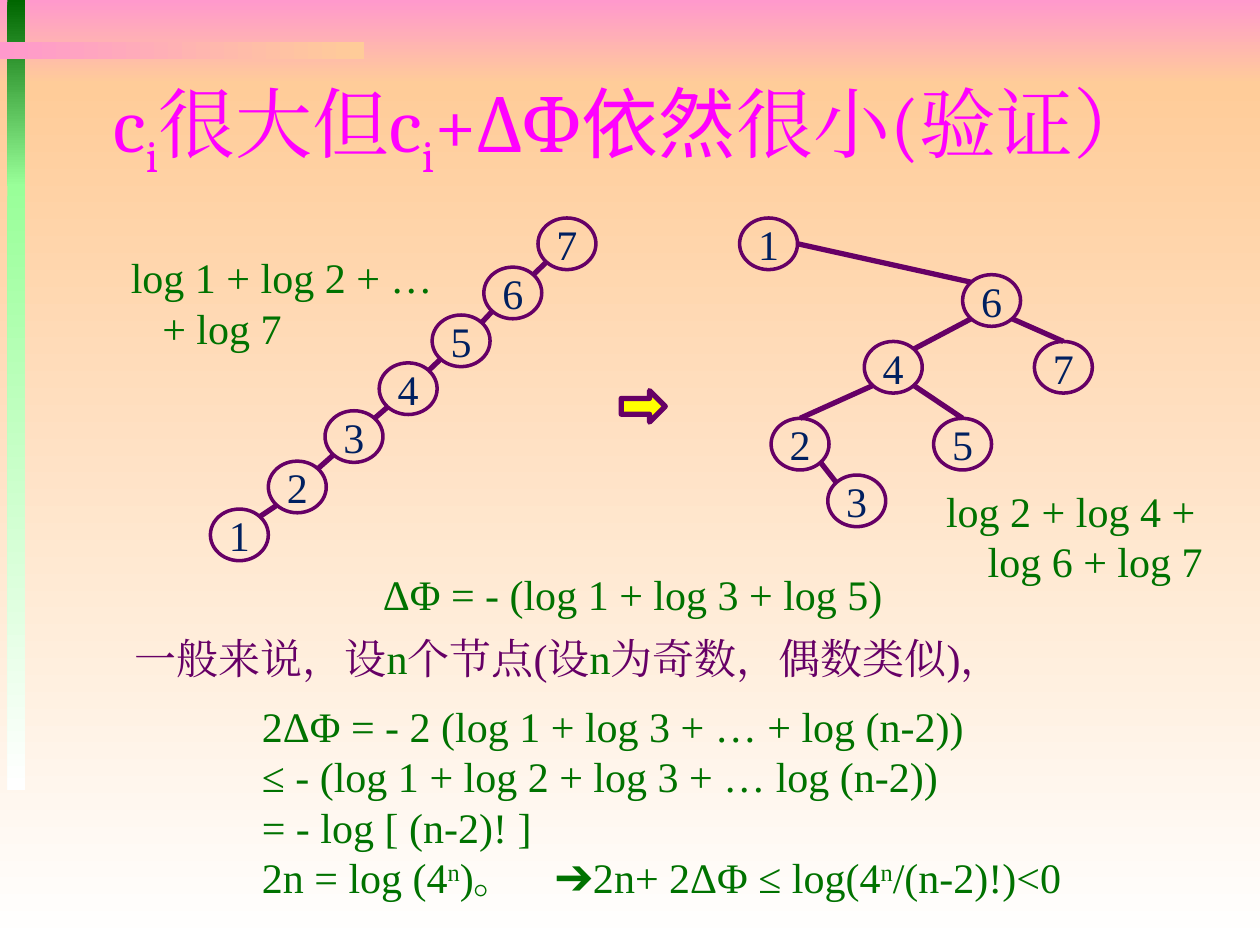
from pptx import Presentation
from pptx.dml.color import RGBColor
from pptx.enum.shapes import MSO_CONNECTOR as LINE, MSO_SHAPE as SHAPE
from pptx.enum.text import MSO_ANCHOR as ANCHOR, MSO_AUTO_SIZE as AUTOSIZE, PP_ALIGN as ALIGN
from pptx.oxml.ns import qn
from pptx.util import Inches, Pt
from lxml import etree

PURPLE, GREEN, NAVY, MAGENTA = "660066", "007200", "002060", "FF00FF"
PINK, PEACH, LIME, WHITE = "FF99CC", "FFCC99", "99FF99", "FFFFFF"
NODE_W, NODE_H = 0.46, 0.41
NEAR, FAR = 0.146, 0.854  # diagonal points of an ellipse, as shares of its box
SITES = {"top": (0.5, 0), "right": (1, 0.5), "top left": (NEAR, NEAR), "top right": (FAR, NEAR),
         "bottom left": (NEAR, FAR), "bottom right": (FAR, FAR)}


def rgb(value):
    return RGBColor.from_string(value)


def write(paragraph, runs, **base):
    """Add (text, changes) runs; the changes override the base font format."""
    for text, changes in runs:
        style = {"name": "Times New Roman", "size": Pt(24), "color": GREEN, "baseline": 0,
                 **base, **changes}
        run = paragraph.add_run()
        run.text = text
        run.font.color.rgb = rgb(style["color"])
        for attribute in ("name", "size"):
            setattr(run.font, attribute, style[attribute])
        properties = run.font._element
        if style["baseline"]:
            properties.set("baseline", str(style["baseline"] * 1000))
        etree.SubElement(properties, qn("a:ea")).set("typeface", style["name"])


prs = Presentation()
prs.slide_width, prs.slide_height = Inches(10), Inches(7.5)
slide = prs.slides.add_slide(prs.slide_layouts[5])
shapes = slide.shapes

# Background bands
for box, start, end, angle in [
    ((0, 0, 10, 0.67), PINK, PEACH, 270),
    ((0, 0.67, 10, 6.83), PEACH, WHITE, 270),
    ((0.06, 0, 0.14, 1.48), "006600", LIME, 270),
    ((0.06, 1.46, 0.14, 4.81), LIME, WHITE, 270),
    ((0, 0.33, 2.89, 0.14), PINK, PEACH, 0),
]:
    band = shapes.add_shape(SHAPE.RECTANGLE, *map(Inches, box))
    band.shadow.inherit = False
    band.line.fill.background()
    band.fill.gradient()
    band.fill.gradient_angle = angle
    for stop, color, position in zip(band.fill.gradient_stops, (start, end), (0, 1)):
        stop.color.rgb = rgb(color)
        stop.position = position

# Title, brought in front of the bands
title = shapes.title
title.left, title.top, title.width, title.height = map(Inches, (0.8, 0.57, 8.5, 0.9))
shapes._spTree.append(title._element)
heading = title.text_frame
heading.word_wrap = True
heading.auto_size = AUTOSIZE.NONE
heading.vertical_anchor = ANCHOR.MIDDLE
heading.paragraphs[0].alignment = ALIGN.LEFT
subscript = ("i", {"baseline": -25})
write(heading.paragraphs[0], [
    ("c", {}), subscript, ("很大但c", {}), subscript, ("+ΔΦ", {}),
    ("依然", {"name": "Noto Sans CJK SC"}), ("很小(验证）", {}),
], name="Cambria", size=Pt(44), color=MAGENTA)

# Search trees before and after: node positions, then edges between ellipse sites
chain = {1: (1.67, 4.04), 2: (2.13, 3.66), 3: (2.58, 3.26), 4: (3.01, 2.88),
         5: (3.43, 2.5), 6: (3.84, 2.12), 7: (4.27, 1.73)}
chain_edges = [(key, "top right", key + 1, "bottom left") for key in range(1, 7)]
splayed = {1: (5.87, 1.73), 2: (6.12, 3.32), 3: (6.57, 3.77), 4: (6.86, 2.71),
           5: (7.41, 3.32), 6: (7.64, 2.18), 7: (8.21, 2.71)}
splayed_edges = [
    (6, "top left", 1, "right"), (4, "top right", 6, "bottom left"),
    (7, "top", 6, "bottom right"), (2, "top", 4, "bottom left"),
    (2, "bottom right", 3, "top left"), (4, "bottom right", 5, "top"),
]
for nodes, edges in ((chain, chain_edges), (splayed, splayed_edges)):
    for key, (left, top) in nodes.items():
        node = shapes.add_shape(SHAPE.OVAL, *map(Inches, (left, top, NODE_W, NODE_H)))
        node.shadow.inherit = False
        node.fill.background()
        node.line.color.rgb = rgb(PURPLE)
        node.line.width = Pt(2)
        label = node.text_frame
        label.word_wrap = False
        label.vertical_anchor = ANCHOR.MIDDLE
        label.paragraphs[0].alignment = ALIGN.CENTER
        write(label.paragraphs[0], [(str(key), {})], color=NAVY)
    for first, first_site, second, second_site in edges:
        ends = []
        for key, site in ((first, first_site), (second, second_site)):
            (left, top), (across, down) = nodes[key], SITES[site]
            ends += [Inches(left + across * NODE_W), Inches(top + down * NODE_H)]
        edge = shapes.add_connector(LINE.STRAIGHT, *ends)
        edge.line.color.rgb = rgb(PURPLE)
        edge.line.width = Pt(3)
        etree.SubElement(edge._element.spPr, qn("a:effectLst"))

arrow = shapes.add_shape(SHAPE.RIGHT_ARROW, *map(Inches, (4.93, 3.1, 0.35, 0.25)))
arrow.shadow.inherit = False
arrow.fill.solid()
arrow.fill.fore_color.rgb = rgb("FFFF00")
arrow.line.color.rgb = rgb(PURPLE)
arrow.line.width = Pt(3)

# Formulas: box, hanging indent, tab stop, paragraphs of runs
power = ("n", {"baseline": 30})
cjk = {"color": PURPLE}
for box, hanging, tab, paragraphs in [
    ((0.94, 1.95, 2.7, 0.91), 0.25, 0, [[("log 1 + log 2 + …\v+ log 7", {})]]),
    ((7.41, 3.8, 2.28, 0.91), 0.33, 0, [[("log 2 + log 4 +\vlog 6 + log 7", {})]]),
    ((2.94, 4.46, 4.2, 0.5), 0, 0, [[("ΔΦ = - (log 1 + log 3 + log 5)", {})]]),
    ((1.98, 5.51, 7.23, 1.72), 0, 2.33, [
        [("2ΔΦ = - 2 (log 1 + log 3 + … + log (n-2))", {})],
        [("≤ - (log 1 + log 2 + log 3 + … log (n-2))", {})],
        [("= - log [ (n-2)! ]", {})],
        [("2n = log (4", {}), power, (")。\t➔2n+ 2ΔΦ ≤ log(4", {}), power, ("/(n-2)!)<0", {})],
    ]),
    ((0.97, 4.97, 7.29, 0.5), 0, 0, [
        [("一般来说，设", cjk), ("n", {}), ("个节点(设", cjk), ("n", {}),
         ("为奇数，偶数类似)，", cjk)],
    ]),
]:
    frame = shapes.add_textbox(*map(Inches, box)).text_frame
    frame.word_wrap = True
    for index, runs in enumerate(paragraphs):
        paragraph = frame.add_paragraph() if index else frame.paragraphs[0]
        properties = paragraph._p.get_or_add_pPr()
        if hanging:
            properties.set("marL", str(Inches(hanging)))
            properties.set("indent", str(-Inches(hanging)))
        if tab:
            stops = etree.SubElement(properties, qn("a:tabLst"))
            etree.SubElement(stops, qn("a:tab"), pos=str(Inches(tab)), algn="l")
        for text, changes in runs:
            for number, line in enumerate(text.split("\v")):
                if number:
                    paragraph.add_line_break()
                write(paragraph, [(line, changes)])

prs.save("out.pptx")
